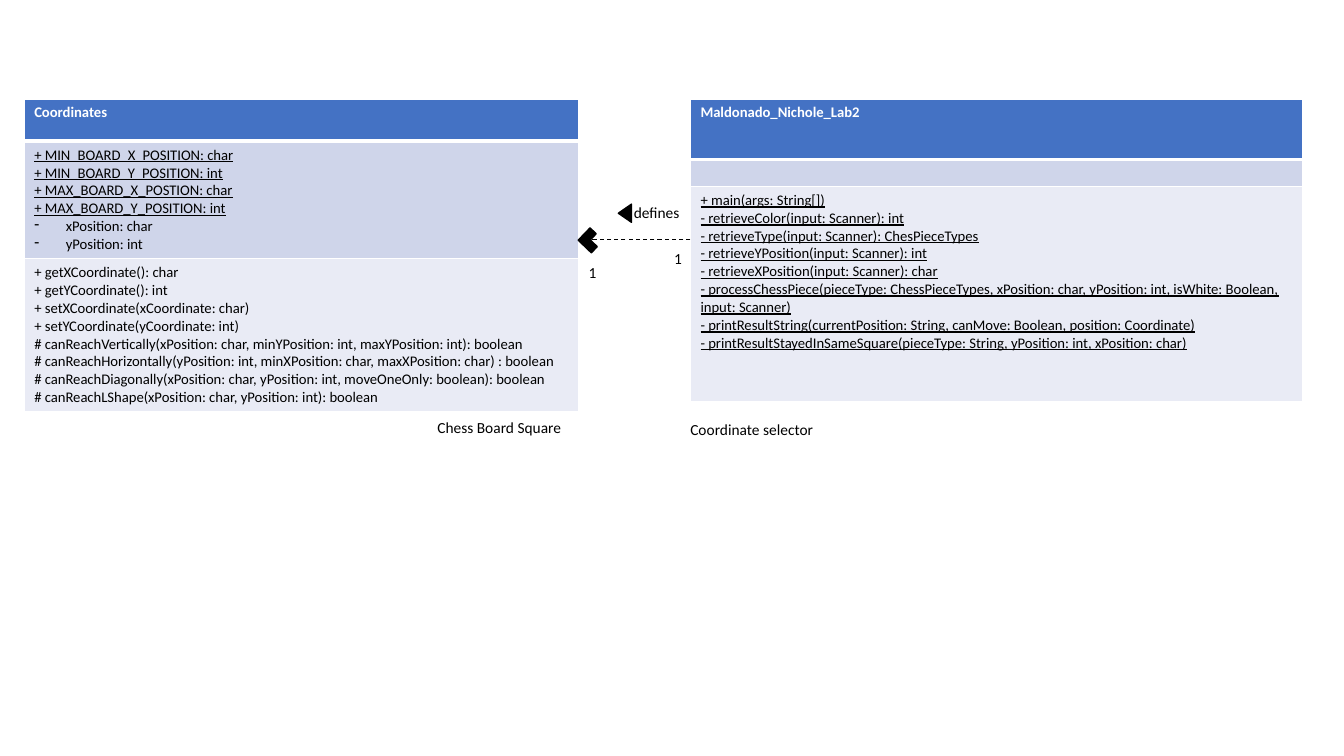
from pptx import Presentation, util as u
from pptx.dml.color import RGBColor
from pptx.enum import dml, shapes, text
from pptx.oxml import parse_xml
from pptx.oxml.ns import nsdecls
from lxml import etree

Pt = u.Pt
BLACK = RGBColor(0, 0, 0)
WHITE = RGBColor(255, 255, 255)
HEAD = RGBColor(0x44, 0x72, 0xC4)
BAND = RGBColor(0xCF, 0xD5, 0xEA)
PALE = RGBColor(0xE9, 0xEB, 0xF5)
FILLS = [HEAD, BAND, PALE]
FONT = "Calibri"
TOP = 70.7

STATIC, PLAIN, DASH = "static", "plain", "dash"
CLASSES = [
    (17.3, 396, [30.2, 84, 108.8], "Coordinates", [
        (STATIC, "+ MIN_BOARD_X_POSITION: char"),
        (STATIC, "+ MIN_BOARD_Y_POSITION: int"),
        (STATIC, "+ MAX_BOARD_X_POSTION: char"),
        (STATIC, "+ MAX_BOARD_Y_POSITION: int"),
        (DASH, "xPosition: char"),
        (DASH, "yPosition: int"),
    ], [
        (PLAIN, "+ getXCoordinate(): char"),
        (PLAIN, "+ getYCoordinate(): int"),
        (PLAIN, "+ setXCoordinate(xCoordinate: char)"),
        (PLAIN, "+ setYCoordinate(yCoordinate: int)"),
        (PLAIN, "# canReachVertically(xPosition: char, minYPosition: int, maxYPosition: int): boolean"),
        (PLAIN, "# canReachHorizontally(yPosition: int, minXPosition: char, maxXPosition: char) : boolean"),
        (PLAIN, "# canReachDiagonally(xPosition: char, yPosition: int, moveOneOnly: boolean): boolean"),
        (PLAIN, "# canReachLShape(xPosition: char, yPosition: int): boolean"),
    ]),
    (493.2, 437, [43.2, 19.2, 153.4], "Maldonado_Nichole_Lab2", [], [
        (STATIC, "+ main(args: String[])"),
        (STATIC, "- retrieveColor(input: Scanner): int"),
        (STATIC, "- retrieveType(input: Scanner): ChesPieceTypes"),
        (STATIC, "- retrieveYPosition(input: Scanner): int"),
        (STATIC, "- retrieveXPosition(input: Scanner): char"),
        (STATIC, "- processChessPiece(pieceType: ChessPieceTypes, xPosition: char, "
                 "yPosition: int, isWhite: Boolean, input: Scanner)"),
        (STATIC, "- printResultString(currentPosition: String, canMove: Boolean, position: Coordinate)"),
        (STATIC, "- printResultStayedInSameSquare(pieceType: String, yPosition: int, xPosition: char)"),
    ]),
]
LABELS = [
    ("defines", 445.7, 141.8, 52.6),
    ("1", 474.5, 174.2, 23),
    ("1", 413.3, 184.3, 23),
    ("Coordinate selector", 486, 296.6, 108),
    ("Chess Board Square", 305.3, 295.2, 123.8),
]
ARROW = (439.9, 147.6, 13, 9.4)
CORNER = (415.4, 165.6, 13, 12.2)


def write(para, words, size, color):
    run = para.add_run()
    run.text = words
    font = run.font
    font.name, font.size, font.color.rgb = FONT, Pt(size), color
    return font


def edge(cell, low):
    props = cell._tc.get_or_add_tcPr()
    for at, side in enumerate("LRTB"):
        wide = Pt(low if side == "B" else 1)
        props.insert(at, parse_xml(
            f'<a:ln{side} {nsdecls("a")} w="{wide}"><a:solidFill>'
            f'<a:srgbClr val="{WHITE}"/></a:solidFill></a:ln{side}>'))


def fill(cell, items, head):
    frame = cell.text_frame
    if not items:
        end = etree.SubElement(frame.paragraphs[0]._p, "{%s}endParaRPr" % A)
        end.set("sz", "1000")
    for at, (kind, words) in enumerate(items):
        para = frame.add_paragraph() if at else frame.paragraphs[0]
        font = write(para, words, 10.5, WHITE if head else BLACK)
        font.bold = head
        font.underline = kind == STATIC
        if kind == DASH:
            props = para._p.get_or_add_pPr()
            props.set("marL", str(Pt(22.5)))
            props.set("indent", str(-Pt(22.5)))
            etree.SubElement(props, "{%s}buChar" % A).set("char", "-")


def paint(mark, turn):
    mark.rotation = turn
    mark.shadow.inherit = False
    mark.fill.solid()
    mark.fill.fore_color.rgb = BLACK
    mark.line.color.rgb = BLACK
    mark.line.width = Pt(1)


A = "http://schemas.openxmlformats.org/drawingml/2006/main"
deck = Presentation()
deck.slide_width, deck.slide_height = Pt(960), Pt(540)
slide = deck.slides.add_slide(deck.slide_layouts[6])
tree = slide.shapes

for left, width, highs, name, fields, methods in CLASSES:
    grid = tree.add_table(3, 1, Pt(left), Pt(TOP), Pt(width), Pt(sum(highs))).table
    for row, (high, items) in enumerate(zip(highs, [[(PLAIN, name)], fields, methods])):
        grid.rows[row].height = Pt(high)
        cell = grid.cell(row, 0)
        cell.fill.solid()
        cell.fill.fore_color.rgb = FILLS[row]
        edge(cell, 1 if row else 3)
        fill(cell, items, row == 0)

link = tree.add_connector(shapes.MSO_CONNECTOR.STRAIGHT, Pt(493.2), Pt(170.9), Pt(419.8), Pt(170.9))
link.line.color.rgb = BLACK
link.line.width = Pt(0.75)
link.line.dash_style = dml.MSO_LINE.DASH
etree.SubElement(link._element.spPr, "{%s}effectLst" % A)

paint(tree.add_shape(shapes.MSO_SHAPE.ISOSCELES_TRIANGLE, *map(Pt, ARROW)), 270)

for words, left, top, width in LABELS:
    frame = tree.add_textbox(Pt(left), Pt(top), Pt(width), Pt(20.6)).text_frame
    frame.word_wrap = True
    frame.auto_size = text.MSO_AUTO_SIZE.SHAPE_TO_FIT_TEXT
    write(frame.paragraphs[0], words, 11, BLACK)

left, top, width, high = CORNER
arm = high / 2
right, base = left + width, top + high
spots = [(left + arm, top), (left + arm, base - arm), (right, base - arm), (right, base), (left, base)]
pen = tree.build_freeform(Pt(left), Pt(top))
pen.add_line_segments([(Pt(x), Pt(y)) for x, y in spots])
paint(pen.convert_to_shape(), 43.9)

deck.save("out.pptx")
